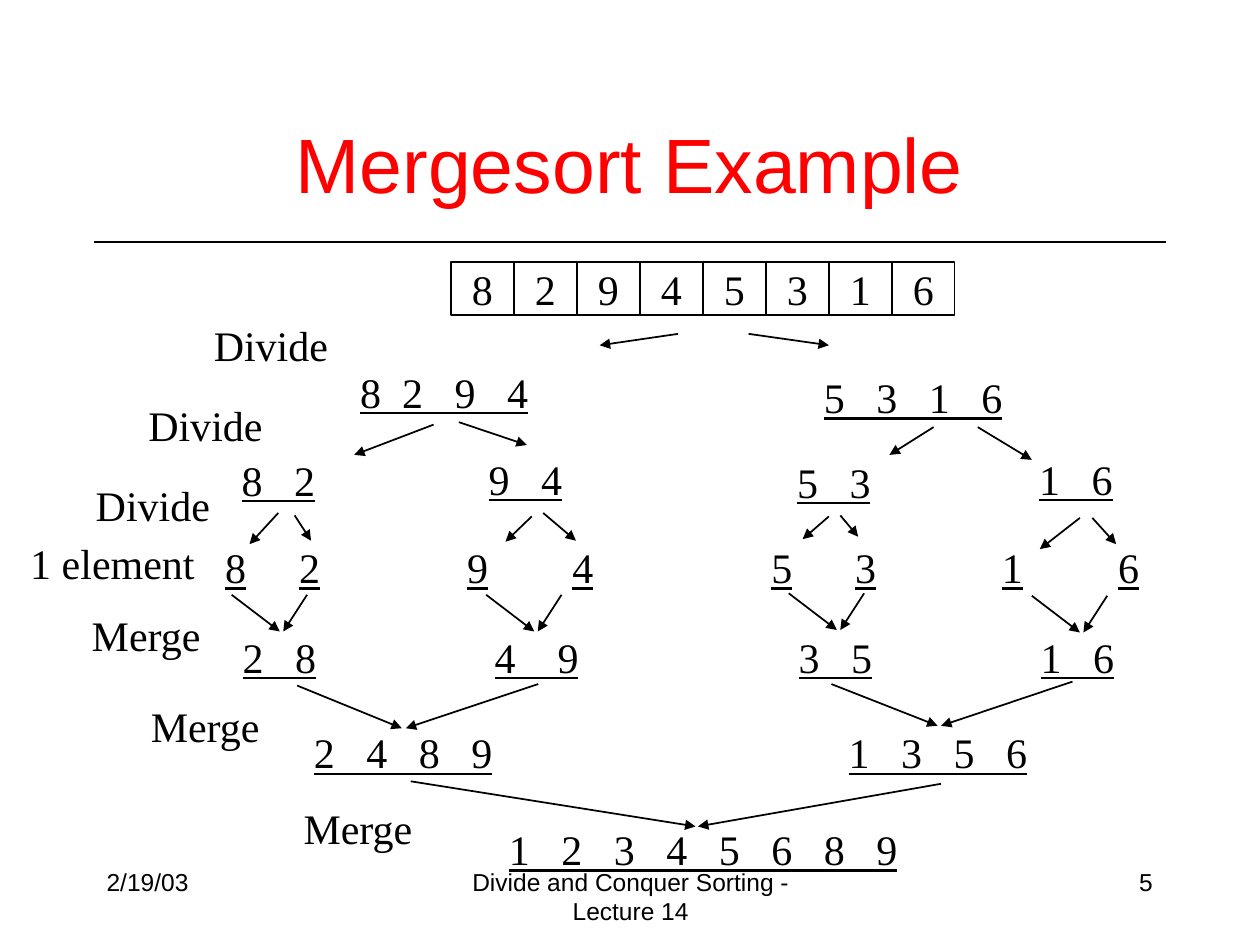
"""Build the slide that traces mergesort on eight numbers."""
from dataclasses import dataclass

from lxml import etree
from pptx import Presentation
from pptx.dml.color import RGBColor
from pptx.enum.shapes import MSO_CONNECTOR, MSO_SHAPE
from pptx.enum.text import MSO_ANCHOR, MSO_AUTO_SIZE, PP_ALIGN
from pptx.oxml.ns import qn
from pptx.util import Cm, Pt

LEFT, CENTER, RIGHT = PP_ALIGN.LEFT, PP_ALIGN.CENTER, PP_ALIGN.RIGHT
TOP, MIDDLE = MSO_ANCHOR.TOP, MSO_ANCHOR.MIDDLE
FIT, FIXED = MSO_AUTO_SIZE.SHAPE_TO_FIT_TEXT, MSO_AUTO_SIZE.NONE
STRAIGHT, RECTANGLE = MSO_CONNECTOR.STRAIGHT, MSO_SHAPE.RECTANGLE


@dataclass(frozen=True)
class Theme:
    ink: RGBColor = RGBColor(0, 0, 0)
    accent: RGBColor = RGBColor(255, 0, 0)
    heading_font: str = "Arial"
    body_font: str = "Times New Roman"
    title_size: int = 44
    body_size: int = 24
    footer_size: int = 14
    thin: float = 0.75
    arrow: float = 1
    text_height: float = 1.27
    slack: float = 0.15


class SlideBuilder:
    def __init__(self, slide, theme):
        self.slide = slide
        self.theme = theme

    def add_run(self, paragraph, text, font, size, color, underline=None):
        run = paragraph.add_run()
        run.text = text
        run.font.name = font
        run.font.size = Pt(size)
        run.font.color.rgb = color
        run.font.underline = underline

    def add_body_run(self, paragraph, text, underline=None):
        theme = self.theme
        self.add_run(paragraph, text, theme.body_font, theme.body_size, theme.ink, underline)

    def prepare(self, shape, align=LEFT, anchor=TOP, wrap=True, fit=FIXED):
        frame = shape.text_frame
        frame.word_wrap = wrap
        frame.auto_size = fit
        frame.vertical_anchor = anchor
        paragraph = frame.paragraphs[0]
        paragraph.alignment = align
        return paragraph

    def text_box(self, left, top, width, height, **layout):
        shape = self.slide.shapes.add_textbox(Cm(left), Cm(top), Cm(width), Cm(height))
        return self.prepare(shape, **layout)

    def body_box(self, left, top, width):
        theme = self.theme
        return self.text_box(left, top, width + theme.slack, theme.text_height, fit=FIT)

    def title(self, text):
        theme = self.theme
        paragraph = self.text_box(1.9, 1.7, 21.59, 3.18, align=CENTER, anchor=MIDDLE)
        self.add_run(paragraph, text, theme.heading_font, theme.title_size, theme.accent)

    def footer(self, text, left, width, align):
        theme = self.theme
        paragraph = self.text_box(left, 17.35, width, theme.text_height, align=align)
        self.add_run(paragraph, text, theme.heading_font, theme.footer_size, theme.ink)

    def label(self, text, left, top, width, underline=None):
        self.add_body_run(self.body_box(left, top, width), text, underline)

    def tabbed_row(self, left, top, width, groups):
        paragraph = self.body_box(left, top, width)
        stops = etree.SubElement(paragraph._p.get_or_add_pPr(), qn("a:tabLst"))
        for offset, text in groups:
            if offset:
                etree.SubElement(stops, qn("a:tab"), pos=str(Cm(offset)), algn="l")
                self.add_body_run(paragraph, "\t")
            self.add_body_run(paragraph, text, True)

    def cell(self, text, left, top, width, height):
        shape = self.slide.shapes.add_shape(RECTANGLE, Cm(left), Cm(top), Cm(width), Cm(height))
        shape.shadow.inherit = False
        shape.fill.background()
        shape.line.color.rgb = self.theme.ink
        shape.line.width = Pt(self.theme.thin)
        paragraph = self.prepare(shape, align=CENTER, anchor=MIDDLE, wrap=False)
        self.add_body_run(paragraph, text)

    def line(self, start_x, start_y, end_x, end_y, width):
        connector = self.slide.shapes.add_connector(
            STRAIGHT, Cm(start_x), Cm(start_y), Cm(end_x), Cm(end_y))
        connector.line.color.rgb = self.theme.ink
        connector.line.width = Pt(width)
        etree.SubElement(connector._element.spPr, qn("a:effectLst"))
        return connector

    def arrow(self, start_x, start_y, end_x, end_y):
        connector = self.line(start_x, start_y, end_x, end_y, self.theme.arrow)
        etree.SubElement(connector.line._get_or_add_ln(), qn("a:tailEnd"), type="triangle")


DIVIDED = [
    ("8  2   9   4", 7.01, 7.26, 3.89), ("5   3   1   6", 16.36, 7.37, 4.09),
    ("8   2", 4.62, 9.04, 1.98), ("1   6", 20.7, 9.02, 1.98),
    ("9   4", 9.6, 9.02, 1.98), ("5   3", 15.82, 9.07, 1.98),
]
ROWS = [
    (4.29, 10.8, 18.92, [(0, "8"), (1.49, "2"), (4.88, "9"), (7, "4"),
                         (11.01, "5"), (12.7, "3"), (15.66, "1"), (18, "6")]),
    (4.01, 12.6, 18.69, [(0.63, "2   8"), (5.71, "4    9"),
                         (11.84, "3   5"), (16.72, "1   6")]),
    (4.37, 14.53, 16.59, [(1.71, "2   4   8   9"), (12.49, "1   3   5   6")]),
    (8.31, 16.48, 10.03, [(1.7, "1   2   3   4   5   6   8   9")]),
]
DIVIDE_ARROWS = [
    (13.67, 6.73, 12.09, 6.96), (15.09, 6.73, 16.71, 6.96),
    (8.74, 8.56, 7.14, 9.17), (9.25, 8.51, 10.62, 8.97),
    (18.82, 8.61, 17.93, 9.17), (19.71, 8.61, 20.8, 9.27),
    (5.61, 10.34, 5.03, 10.97), (5.94, 10.39, 6.27, 10.9),
    (10.72, 10.41, 10.19, 10.92), (10.95, 10.34, 11.61, 10.9),
    (16.71, 10.41, 16.18, 10.87), (16.94, 10.39, 17.3, 10.82),
    (21.77, 10.44, 20.96, 11.07), (22.02, 10.44, 22.5, 10.97),
]
PAIR_STARTS = [(4.67, 11.99), (9.8, 11.99), (15.9, 11.96), (20.8, 12.01)]
MERGE_ARROWS = [
    (5.99, 13.82, 8.1, 14.68), (10.85, 13.79, 8.18, 14.68),
    (16.76, 13.79, 18.9, 14.63), (21.62, 13.74, 18.97, 14.63),
    (8.28, 15.75, 14.02, 16.66), (18.97, 15.8, 14.07, 16.66),
]
STEPS = [
    ("Merge", 1.6, 12.17, 2.72), ("Merge", 2.79, 14, 2.72), ("Merge", 5.87, 16.05, 2.72),
    ("Divide", 4.06, 6.32, 2.79), ("Divide", 2.74, 7.92, 2.79), ("Divide", 1.68, 9.55, 2.79),
    ("1 element", 0.36, 10.72, 3.81),
]


def main():
    presentation = Presentation()
    presentation.slide_width, presentation.slide_height = Cm(25.4), Cm(19.05)
    slide = presentation.slides.add_slide(presentation.slide_layouts[6])
    builder = SlideBuilder(slide, Theme())

    builder.line(1.9, 4.88, 23.5, 4.88, builder.theme.thin)
    builder.title("Mergesort Example")
    for numbers in DIVIDED:
        builder.label(*numbers, underline=True)
    for row in ROWS:
        builder.tabbed_row(*row)
    for ends in DIVIDE_ARROWS:
        builder.arrow(*ends)
    for left, top in PAIR_STARTS:
        builder.arrow(left, top, left + 0.97, top + 0.74)
        builder.arrow(left + 1.52, top, left + 1.04, top + 0.74)
    for ends in MERGE_ARROWS:
        builder.arrow(*ends)
    for step in STEPS:
        builder.label(*step)
    for index, digit in enumerate("82945316"):
        builder.cell(digit, 9.09 + index * 1.27, 5.28, 1.27, 1.07)
    builder.footer("Divide and Conquer Sorting - Lecture 14", 8.69, 8.05, CENTER)
    builder.footer("5", 18.21, 5.28, RIGHT)
    builder.footer("2/19/03", 1.9, 5.28, LEFT)
    presentation.save("out.pptx")


if __name__ == "__main__":
    main()
